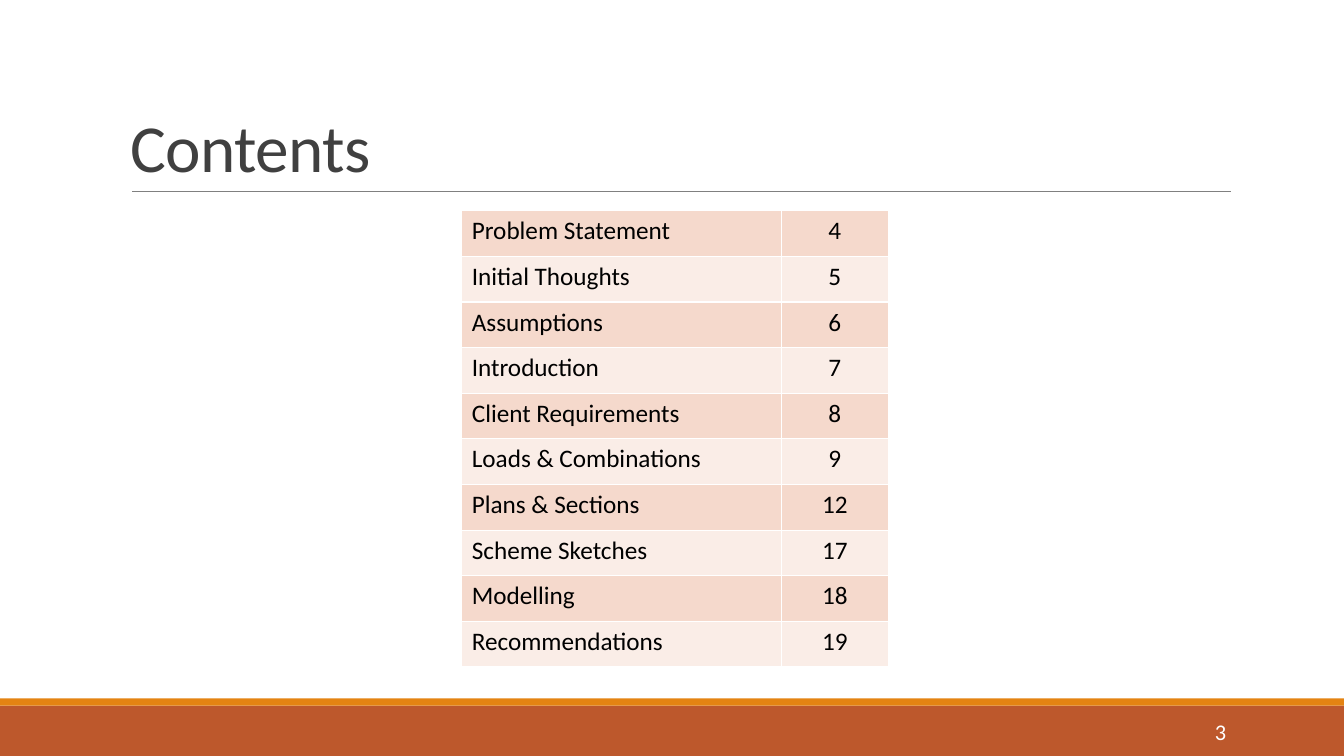
from lxml import etree
from pptx import Presentation
from pptx.dml.color import RGBColor
from pptx.enum.shapes import MSO_CONNECTOR, MSO_SHAPE
from pptx.enum.text import MSO_ANCHOR, PP_ALIGN
from pptx.oxml.ns import qn
from pptx.util import Inches, Pt

LEFT, CENTER, RIGHT = PP_ALIGN.LEFT, PP_ALIGN.CENTER, PP_ALIGN.RIGHT
BOTTOM, MIDDLE = MSO_ANCHOR.BOTTOM, MSO_ANCHOR.MIDDLE
RECTANGLE, STRAIGHT = MSO_SHAPE.RECTANGLE, MSO_CONNECTOR.STRAIGHT

COLORS = {
    "footer": "BD582C",
    "accent": "E48312",
    "rule": "808080",
    "title": "404040",
    "text": "000000",
    "white": "FFFFFF",
    "odd_row": "F5D9CC",
    "even_row": "FAEDE7",
}
CONTENTS = [
    ("Problem Statement", 4),
    ("Initial Thoughts", 5),
    ("Assumptions", 6),
    ("Introduction", 7),
    ("Client Requirements", 8),
    ("Loads & Combinations", 9),
    ("Plans & Sections", 12),
    ("Scheme Sketches", 17),
    ("Modelling", 18),
    ("Recommendations", 19),
]


def rgb(name):
    return RGBColor.from_string(COLORS[name])


class SlideBuilder:
    font_name = "Calibri"

    def __init__(self, slide):
        self.slide = slide

    def fill_text(self, frame, text, size, color, **paragraph_format):
        """Put one styled run into a text frame and return it."""
        paragraph = frame.paragraphs[0]
        for attribute, value in paragraph_format.items():
            setattr(paragraph, attribute, value)
        run = paragraph.add_run()
        run.text = text
        for attribute, value in {"name": self.font_name, "size": Pt(size)}.items():
            setattr(run.font, attribute, value)
        run.font.color.rgb = rgb(color)
        return run

    def band(self, top, height, color):
        """Draw a full-width strip."""
        strip = self.slide.shapes.add_shape(
            RECTANGLE, 0, Inches(top), Inches(13.33), Inches(height))
        strip.shadow.inherit = False
        strip.fill.solid()
        strip.fill.fore_color.rgb = rgb(color)
        strip.line.fill.background()

    def rule(self, left, right, y, color, weight):
        line = self.slide.shapes.add_connector(
            STRAIGHT, Inches(left), Inches(y), Inches(right), Inches(y))
        line.line.color.rgb = rgb(color)
        line.line.width = Pt(weight)
        etree.SubElement(line._element.spPr, qn("a:effectLst"))

    def text(self, box, text, size, color, anchor, **paragraph_format):
        frame = self.slide.shapes.add_textbox(*map(Inches, box)).text_frame
        frame.word_wrap = True
        frame.vertical_anchor = anchor
        return self.fill_text(frame, text, size, color, **paragraph_format)

    def border(self, cell, color, weight):
        properties = cell._tc.get_or_add_tcPr()
        for position, side in enumerate(("a:lnL", "a:lnR", "a:lnT", "a:lnB")):
            edge = etree.Element(qn(side), w=str(Pt(weight)))
            fill = etree.SubElement(edge, qn("a:solidFill"))
            etree.SubElement(fill, qn("a:srgbClr"), val=COLORS[color])
            properties.insert(position, edge)

    def table(self, box, widths, rows, size):
        grid = self.slide.shapes.add_table(
            len(rows), len(widths), *map(Inches, box)).table
        grid.first_row = False
        for column, width in zip(grid.columns, widths):
            column.width = Inches(width)
        for row_index, entry in enumerate(rows):
            for column_index, (value, alignment) in enumerate(zip(entry, (LEFT, CENTER))):
                cell = grid.cell(row_index, column_index)
                cell.fill.solid()
                cell.fill.fore_color.rgb = rgb("even_row" if row_index % 2 else "odd_row")
                self.border(cell, "white", 1)
                self.fill_text(cell.text_frame, str(value), size, "text",
                               alignment=alignment)


def main():
    deck = Presentation()
    deck.slide_width, deck.slide_height = Inches(13.33), Inches(7.5)
    builder = SlideBuilder(deck.slides.add_slide(deck.slide_layouts[6]))

    builder.band(7, 0.5, "footer")
    builder.band(6.93, 0.07, "accent")
    builder.rule(1.31, 12.21, 1.9, "rule", 0.5)
    title = builder.text((1.2, 0.31, 11, 1.59), "Contents", 48, "title", BOTTOM,
                         line_spacing=0.85)
    title.font._element.set("spc", "-50")
    builder.text((10.83, 7.06, 1.43, 0.4), "3", 16, "white", MIDDLE, alignment=RIGHT)
    builder.table((4.58, 2.09, 4.23, 4.53), (3.17, 1.06), CONTENTS, 18)

    deck.save("out.pptx")


if __name__ == "__main__":
    main()
